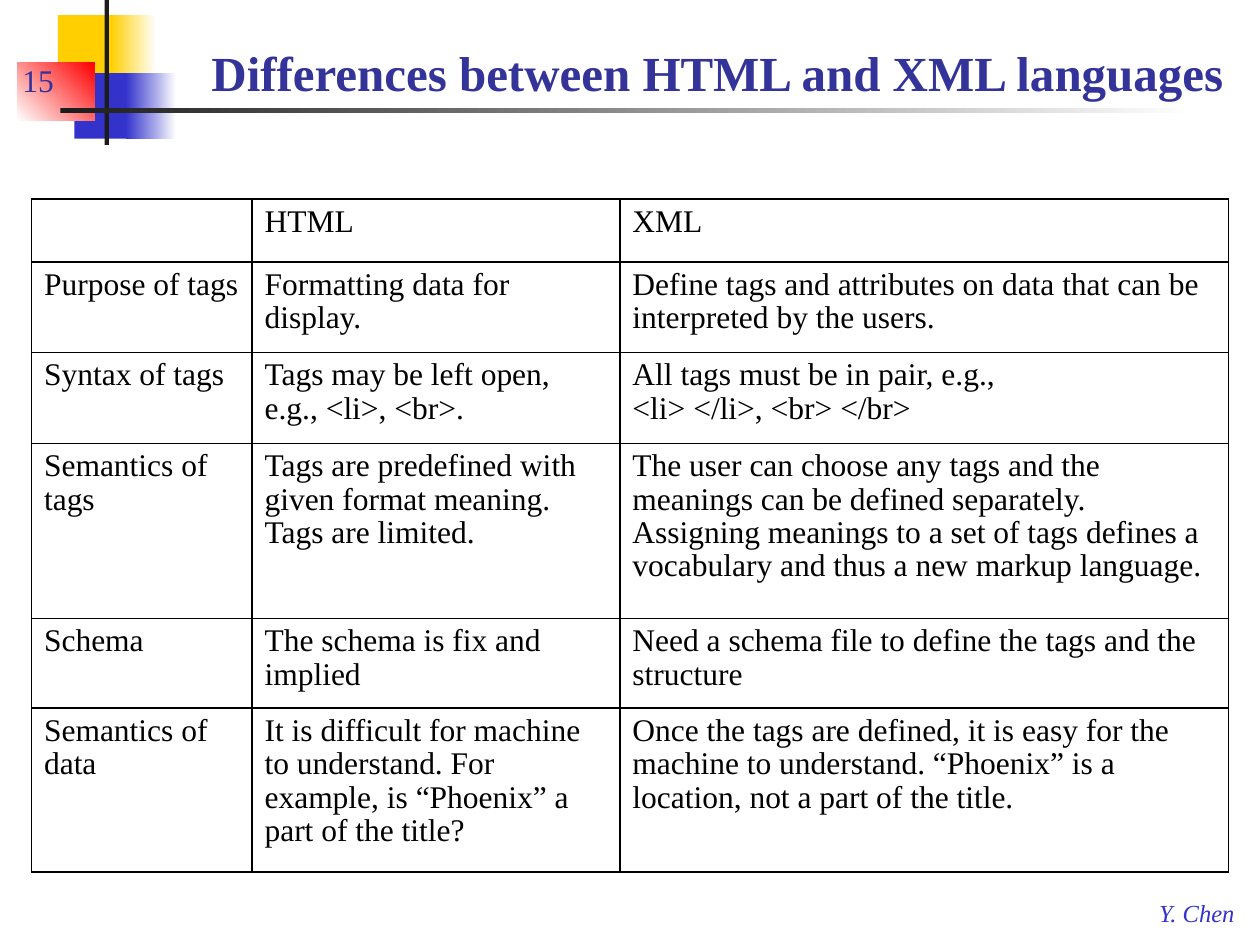
import pptx
import pptx.dml.color
import pptx.enum.shapes
import pptx.enum.text
import pptx.oxml
import pptx.oxml.ns
import pptx.util

COLS, ROWS = 100, 75
CELL = pptx.util.Inches(0.1)
FONT = "Times New Roman"
BLUE, INK, GOLD, NAVY = "3333CC", "1C1C1C", "FFCF01", "333399"
WHITE, RED, BLACK = "FFFFFF", "FF0000", "000000"
GRID = [
    ["", "HTML", "XML"],
    ["Purpose of tags", "Formatting data for display.",
     "Define tags and attributes on data that can be interpreted by the users."],
    ["Syntax of tags", "Tags may be left open, e.g., <li>, <br>.",
     "All tags must be in pair, e.g., \v<li> </li>, <br> </br>"],
    ["Semantics of tags",
     "Tags are predefined with given format meaning. Tags are limited.",
     "The user can choose any tags and the meanings can be defined separately. "
     "Assigning meanings to a set of tags defines a vocabulary and thus a new "
     "markup language."],
    ["Schema", "The schema is fix and implied",
     "Need a schema file to define the tags and the structure"],
    ["Semantics of data",
     "It is difficult for machine to understand. For example, is “Phoenix” "
     "a part of the title?",
     "Once the tags are defined, it is easy for the machine to understand. "
     "“Phoenix” is a location, not a part of the title."],
]


def tint(code):
    """Turn a hex string into a colour."""
    return pptx.dml.color.RGBColor.from_string(code)


def span(*cells):
    """Turn grid counts into lengths."""
    return [round(n * CELL) for n in cells]


def style(frame, size, code, bold=False, slant=False):
    """Format every run in a text frame."""
    for para in frame.paragraphs:
        for run in para.runs:
            font = run.font
            font.name, font.size = FONT, pptx.util.Pt(size)
            font.bold, font.italic = bold, slant
            font.color.rgb = tint(code)


def block(slide, box, first, last=None, turn=0):
    """Draw a bare rectangle, plain or fading from first to last."""
    kind = pptx.enum.shapes.MSO_SHAPE.RECTANGLE
    shape = slide.shapes.add_shape(kind, *span(*box))
    shape.shadow.inherit = False
    shape.line.fill.background()
    if last is None:
        shape.fill.solid()
        shape.fill.fore_color.rgb = tint(first)
        return
    shape.fill.gradient()
    shape.fill.gradient_angle = turn
    for stop, code in zip(shape.fill.gradient_stops, (first, last)):
        stop.color.rgb = tint(code)


def label(slide, box, text, size, code, wrap=True, low=True, **look):
    """Place one line of text in a box."""
    frame = slide.shapes.add_textbox(*span(*box)).text_frame
    anchor = pptx.enum.text.MSO_ANCHOR
    frame.word_wrap = wrap
    frame.vertical_anchor = anchor.BOTTOM if low else anchor.TOP
    frame.text = text
    style(frame, size, code, **look)


def banner(slide, box):
    """Draw the coloured squares and the crossing bars."""
    left, top, wide, high = box
    pairs = [(4.6, 1.2, 4.8, 4.2, 3.6, GOLD), (5.9, 5.8, 4.6, 4.1, 4, BLUE)]
    for x, y, full, shift, fade, code in pairs:
        block(slide, (left + x, top + y, full, 5.2), code)
        block(slide, (left + x + shift, top + y, fade, 5.2), code, WHITE)
    block(slide, (left + 1.4, top + 5, 6.1, 4.6), WHITE, RED, 45)
    block(slide, (left + 8.3, top, 0.35, high), INK)
    block(slide, (left + 4.8, top + 8.6, wide - 4.8, 0.35), INK, WHITE)


def heading(slide, box):
    """Place the page number and the title."""
    left, top, wide, high = box
    label(slide, (left, top + 1.6, 20.8, 5), "15", 18, NAVY)
    label(slide, (left + 15, top, wide - 15, high),
          "Differences between HTML and XML languages", 28, NAVY, bold=True)


def border(cell):
    """Give a cell a thin black line on each side."""
    props = cell._tc.get_or_add_tcPr()
    space = pptx.oxml.ns.nsdecls("a")
    for spot, side in enumerate(("lnL", "lnR", "lnT", "lnB")):
        props.insert(spot, pptx.oxml.parse_xml(
            f'<a:{side} {space} w="12700"><a:solidFill>'
            f'<a:srgbClr val="{BLACK}"/></a:solidFill></a:{side}>'))


def matrix(slide, box):
    """Fill the comparison table."""
    wides = span(17.5, 29.2, 48.3)
    highs = span(5, 7.2, 7.2, 13.9, 7.1, 13)
    table = slide.shapes.add_table(len(highs), len(wides), *span(*box)).table
    table.first_row = table.horz_banding = False
    for col, wide in zip(table.columns, wides):
        col.width = wide
    for row, high, texts in zip(table.rows, highs, GRID):
        row.height = high
        for cell, text in zip(row.cells, texts):
            cell.fill.background()
            border(cell)
            para = cell.text_frame.paragraphs[0]
            para.text = text
            para.line_spacing = 0.96
            style(cell.text_frame, 18, BLACK)


def main():
    """Build and save the slide."""
    deck = pptx.Presentation()
    deck.slide_width, deck.slide_height = span(COLS, ROWS)
    slide = deck.slides.add_slide(deck.slide_layouts[6])
    banner(slide, (0, 0, 94.8, 11.5))
    label(slide, (91, 70.8, 8.2, 3.3), "Y. Chen", 14, BLUE,
          wrap=False, low=False, slant=True)
    heading(slide, (0.8, 1.7, 98.3, 6.8))
    matrix(slide, (2.5, 15.8, 95, 53.4))
    deck.save("out.pptx")


if __name__ == "__main__":
    main()
